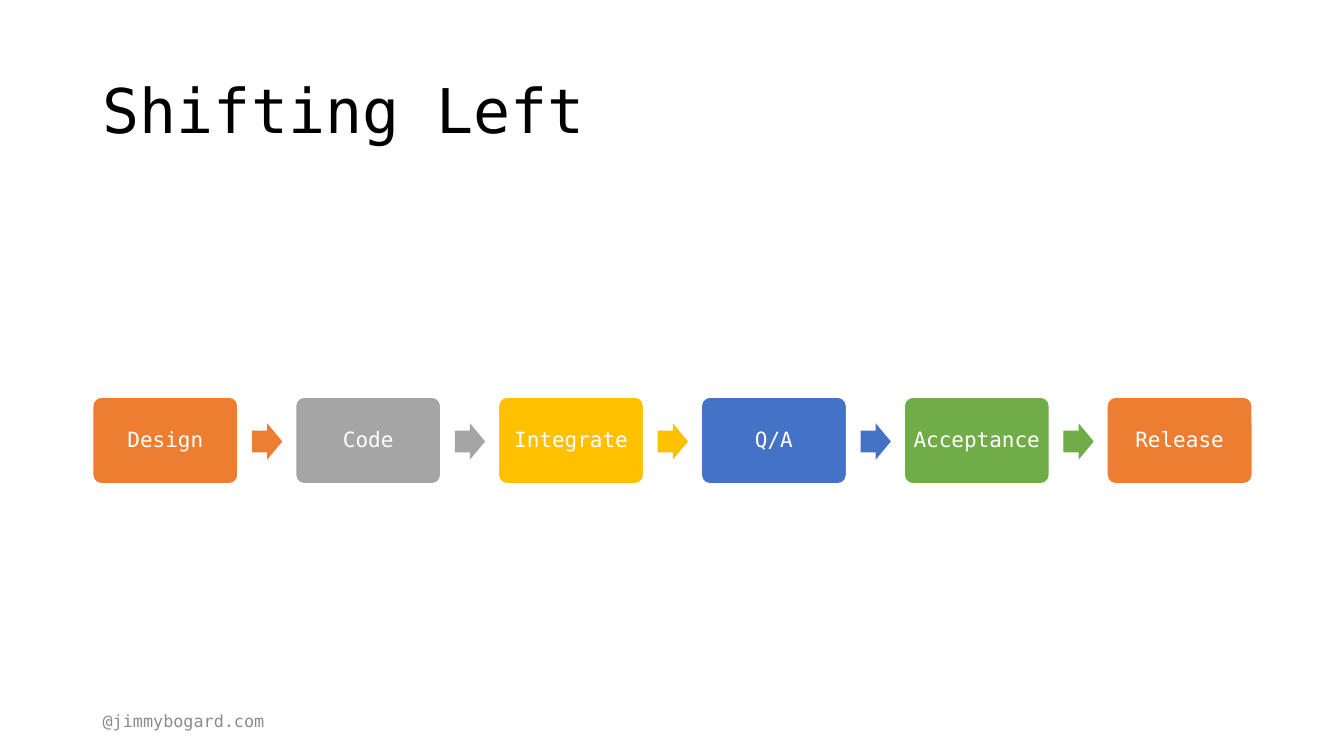
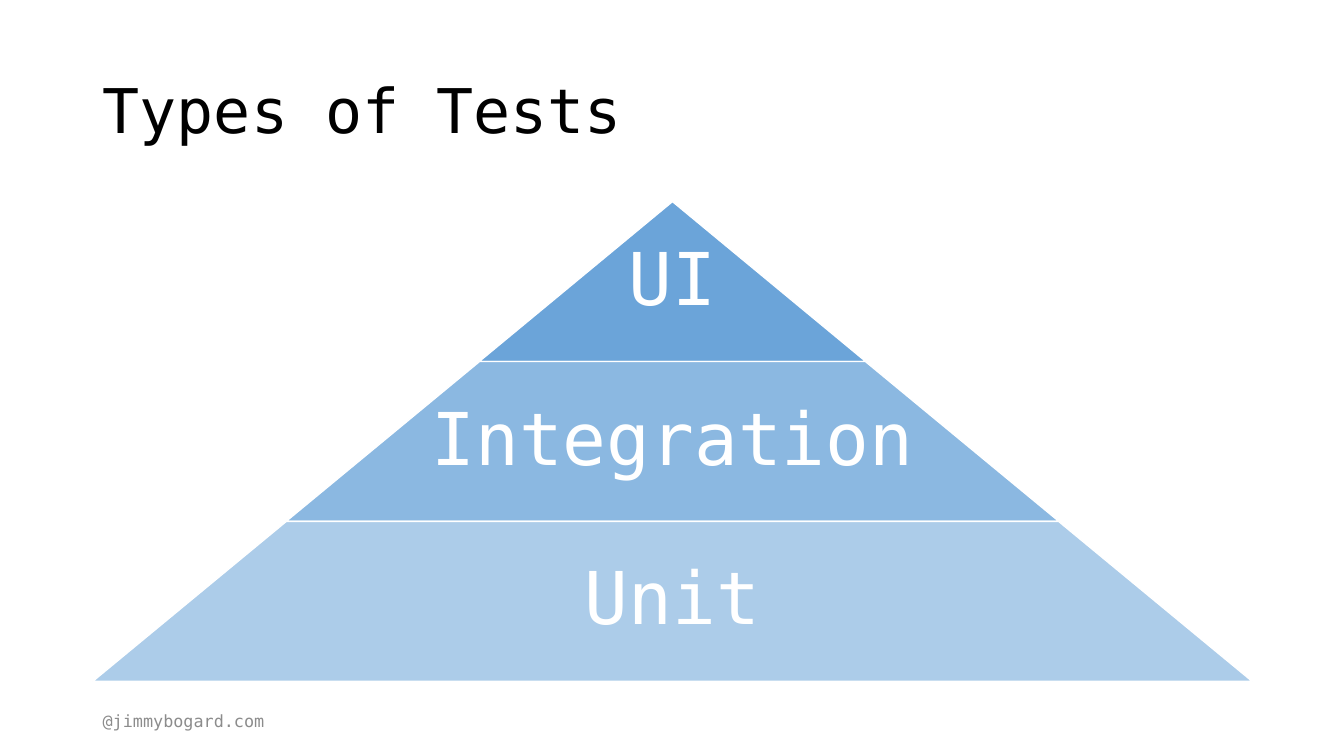
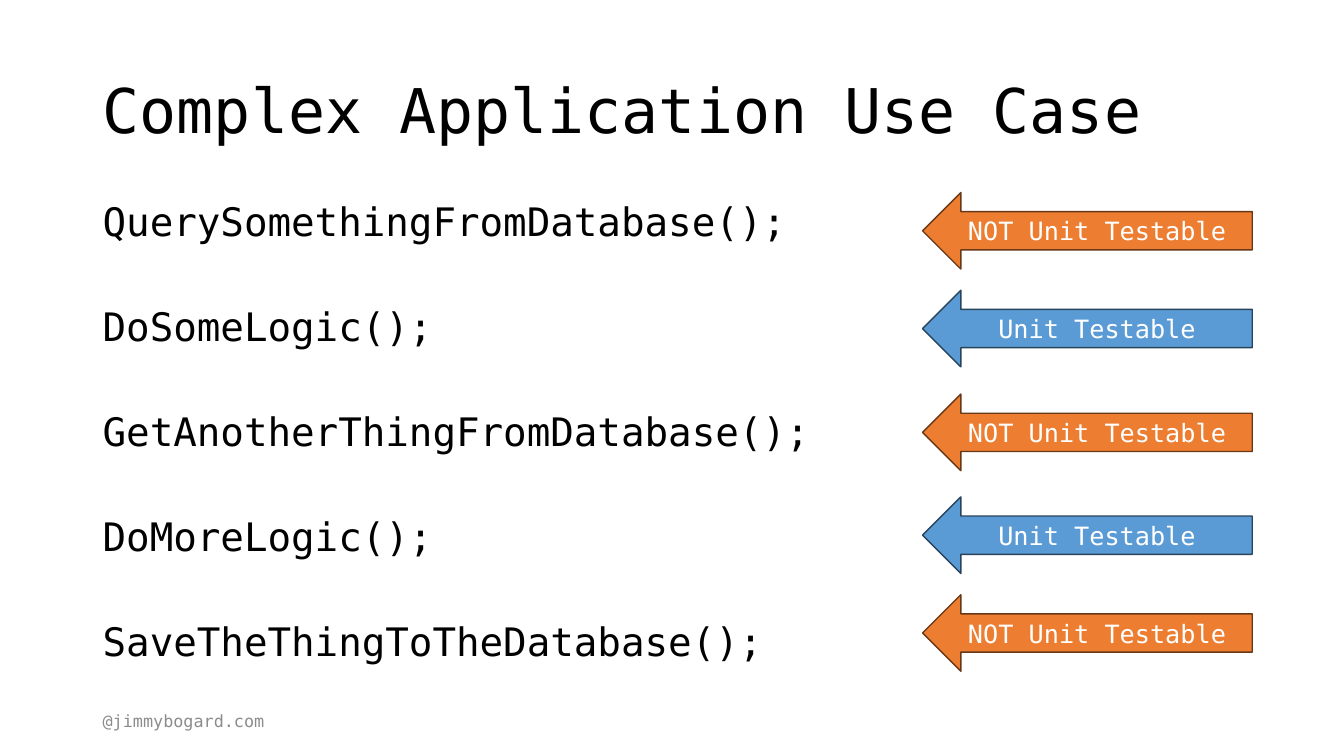
from lxml.etree import SubElement
from pptx import Presentation
from pptx.dml.color import RGBColor
from pptx.enum.shapes import MSO_SHAPE as Shape
from pptx.enum.text import MSO_ANCHOR as Anchor, PP_ALIGN as Align
from pptx.oxml.ns import qn
from pptx.util import Inches, Pt

FONT = "DejaVu Sans Mono"
BLACK, WHITE, GREY = "000000", "FFFFFF", "8C8C8C"
BLUE, ORANGE, SILVER = "5B9BD5", "ED7D31", "A5A5A5"
GOLD, ROYAL, GREEN = "FFC000", "4472C4", "70AD47"
DARK_BLUE, DARK_ORANGE = "28445D", "683715"
LEFT, WIDTH = 0.92, 11.5
BODY_TOP, BODY_HEIGHT = 2, 4.76


def rgb(value):
    return RGBColor.from_string(value)


def write(frame, lines, size, color=WHITE, align=Align.LEFT, anchor=Anchor.MIDDLE,
          spacing=1.0, gap=0, inset=None):
    frame.word_wrap = True
    frame.vertical_anchor = anchor
    if inset is not None:
        frame.margin_left = frame.margin_right = Inches(inset)
        frame.margin_top = frame.margin_bottom = Inches(inset)
    for index, line in enumerate(lines):
        paragraph = frame.add_paragraph() if index else frame.paragraphs[0]
        paragraph.text = line
        paragraph.alignment = align
        paragraph.line_spacing = spacing
        paragraph.space_before = Pt(gap if index else 0)
        font = paragraph.runs[0].font
        font.name, font.size = FONT, Pt(size)
        font.color.rgb = rgb(color)


class Deck:
    def __init__(self):
        self.show = Presentation()
        self.show.slide_width = Inches(13.33)
        self.show.slide_height = Inches(7.5)
        self.slide = None

    def start(self, title):
        self.slide = self.show.slides.add_slide(self.show.slide_layouts[6])
        self.text([title], LEFT, 0.4, WIDTH, 1.45, size=44, color=BLACK, spacing=0.9)
        self.text(["@jimmybogard.com"], LEFT, 6.95, 3, 0.4, size=12, color=GREY)

    def text(self, lines, left, top, width, height, **style):
        box = self.slide.shapes.add_textbox(
            Inches(left), Inches(top), Inches(width), Inches(height))
        write(box.text_frame, lines, **style)

    def shape(self, kind, left, top, width, height, fill, line=None,
              adjust=(), opacity=None):
        figure = self.slide.shapes.add_shape(
            kind, Inches(left), Inches(top), Inches(width), Inches(height))
        figure.shadow.inherit = False
        for index, value in enumerate(adjust):
            figure.adjustments[index] = value
        figure.fill.solid()
        figure.fill.fore_color.rgb = rgb(fill)
        if opacity is not None:
            tint = next(figure.element.iter(qn("a:srgbClr")))
            SubElement(tint, qn("a:alpha"), val=str(opacity * 1000))
        if line:
            figure.line.color.rgb = rgb(line)
            figure.line.width = Pt(1)
        else:
            figure.line.fill.background()
        return figure


def shifting_left(deck):
    deck.start("Shifting Left")
    steps = [("Design", ORANGE), ("Code", SILVER), ("Integrate", GOLD),
             ("Q/A", ROYAL), ("Acceptance", GREEN), ("Release", ORANGE)]
    step_width = 1.44
    pitch = (WIDTH - step_width) / (len(steps) - 1)
    for index, (name, color) in enumerate(steps):
        left = LEFT + index * pitch
        step = deck.shape(Shape.ROUNDED_RECTANGLE, left, 3.94, step_width, 0.86,
                          color, WHITE, adjust=[0.1])
        write(step.text_frame, [name], size=15, align=Align.CENTER, spacing=0.9,
              inset=0.04)
        if index < len(steps) - 1:
            deck.shape(Shape.RIGHT_ARROW, left + 1.58, 4.2, 0.3, 0.36, color,
                       adjust=[0.6, 0.5])


def types_of_tests(deck):
    deck.start("Types of Tests")
    tiers = [("UI", 90), ("Integration", 70), ("Unit", 50)]
    tier_height = BODY_HEIGHT / len(tiers)
    for index, (name, opacity) in enumerate(tiers):
        width = WIDTH * (index + 1) / len(tiers)
        place = (LEFT + (WIDTH - width) / 2, BODY_TOP + index * tier_height,
                 width, tier_height)
        deck.shape(Shape.TRAPEZOID, *place, BLUE, WHITE, adjust=[1.21],
                   opacity=opacity)
        deck.text([name], *place, size=52, align=Align.CENTER, spacing=0.9,
                  inset=0.07)


def complex_use_case(deck):
    deck.start("Complex Application Use Case")
    calls = ["QuerySomethingFromDatabase();", "DoSomeLogic();",
             "GetAnotherThingFromDatabase();", "DoMoreLogic();",
             "SaveTheThingToTheDatabase();"]
    deck.text(calls, LEFT, BODY_TOP, WIDTH, BODY_HEIGHT, size=28, color=BLACK,
              anchor=Anchor.TOP, spacing=0.8, gap=48)
    testable = ("Unit Testable", BLUE, DARK_BLUE)
    untestable = ("NOT Unit Testable", ORANGE, DARK_ORANGE)
    verdicts = [(1.91, untestable), (2.88, testable), (3.91, untestable),
                (4.93, testable), (5.9, untestable)]
    for top, (label, fill, line) in verdicts:
        verdict = deck.shape(Shape.LEFT_ARROW, 9.15, top, 3.27, 0.76, fill, line)
        write(verdict.text_frame, [label], size=18, align=Align.CENTER)


def main():
    deck = Deck()
    shifting_left(deck)
    types_of_tests(deck)
    complex_use_case(deck)
    deck.show.save("out.pptx")


if __name__ == "__main__":
    main()
